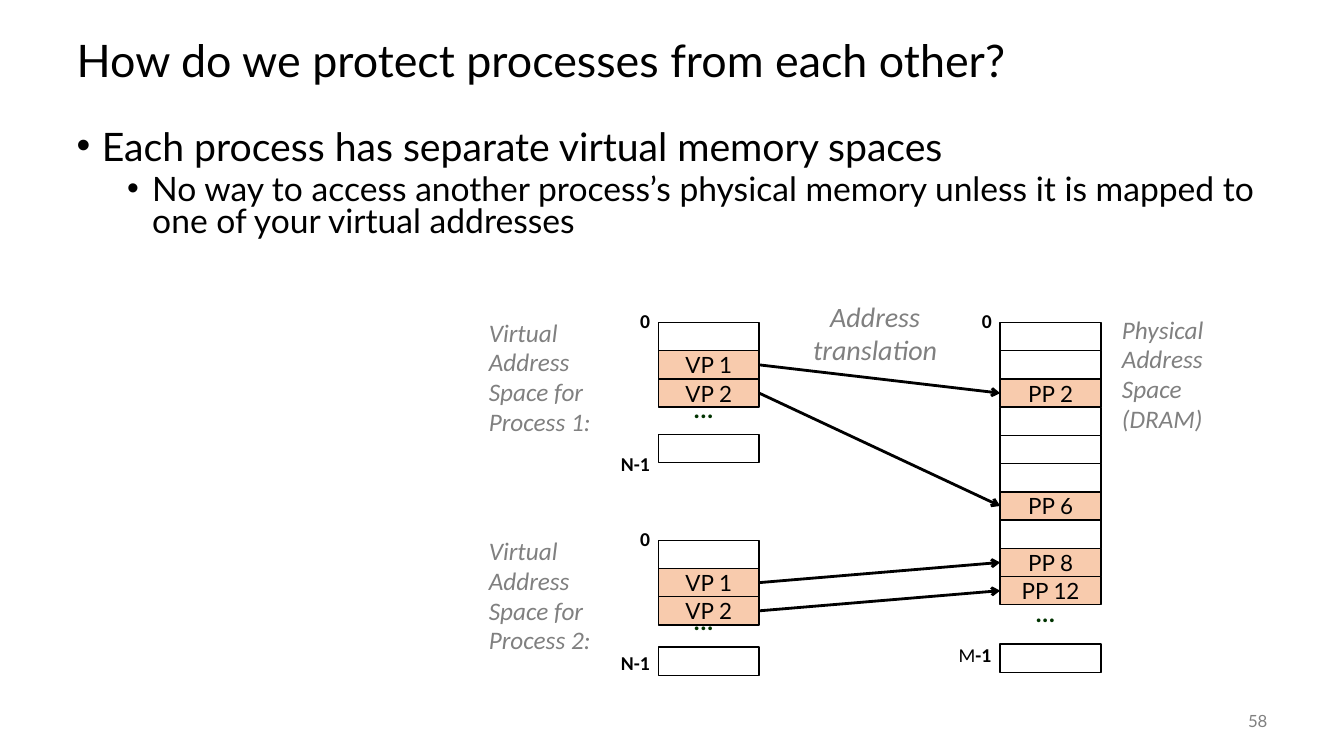
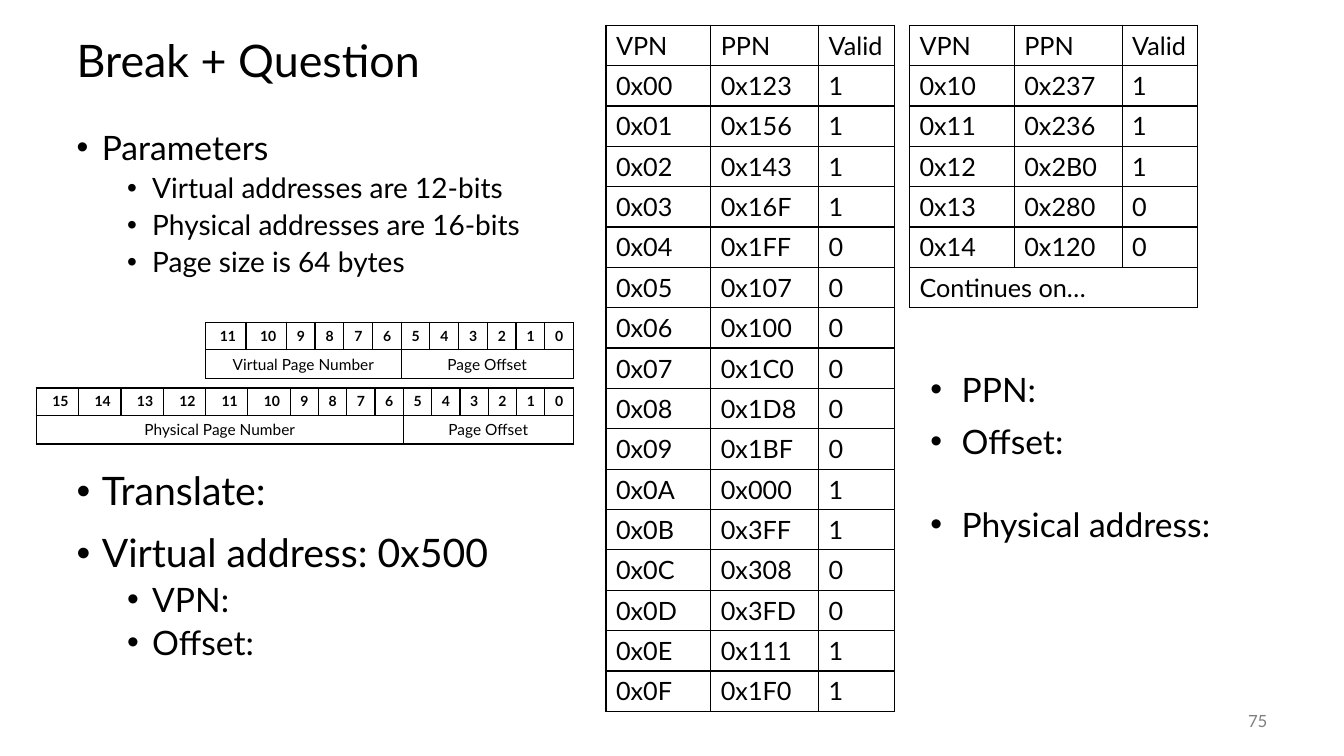
"""Build two slides on virtual memory: process isolation and an address translation exercise."""
from pptx import Presentation
from pptx.dml.color import RGBColor
from pptx.enum.shapes import MSO_CONNECTOR, MSO_SHAPE
from pptx.enum.text import MSO_ANCHOR, MSO_AUTO_SIZE, PP_ALIGN
from pptx.oxml.ns import qn
from pptx.util import Inches, Pt
from lxml.etree import SubElement

BLACK = RGBColor(0x00, 0x00, 0x00)
GRAY = RGBColor(0x80, 0x80, 0x80)
GREEN = RGBColor(0x00, 0x33, 0x00)
PEACH = RGBColor(0xF8, 0xCB, 0xAD)
CELL_HEIGHT = 0.28
CELL_WIDTH = 1


def write(frame, text, size=18, font="Lato", color=BLACK, bold=False, italic=False,
          align=PP_ALIGN.LEFT, line=1.0, before=0, level=0, indent=None, join=False):
    """Add a formatted paragraph, or a run on the last paragraph when join is set."""
    paragraph = frame.paragraphs[-1]
    if paragraph.runs and not join:
        paragraph = frame.add_paragraph()
    paragraph.level = level
    paragraph.alignment = align
    paragraph.line_spacing = line
    paragraph.space_before = Pt(before)
    if indent:
        left, hanging = indent
        properties = paragraph._p.get_or_add_pPr()
        properties.set("marL", str(Inches(left)))
        properties.set("indent", str(Inches(-hanging)))
        SubElement(properties, qn("a:buFont")).set("typeface", "Arial")
        SubElement(properties, qn("a:buChar")).set("char", "•")
    run = paragraph.add_run()
    run.text = text
    run.font.size = Pt(size)
    run.font.name = font
    run.font.color.rgb = color
    run.font.bold = bold
    run.font.italic = italic


def add_box(slide, left, top, width, height, wrap=False):
    """Add an empty text box and return its text frame."""
    box = slide.shapes.add_textbox(Inches(left), Inches(top), Inches(width), Inches(height))
    box.text_frame.word_wrap = wrap
    box.text_frame.auto_size = MSO_AUTO_SIZE.SHAPE_TO_FIT_TEXT
    return box.text_frame


presentation = Presentation()
presentation.slide_width = Inches(13.33)
presentation.slide_height = Inches(7.5)

contents = [
    ("How do we protect processes from each other?", "58", 1.28, 0.8, [
        ("Each process has separate virtual memory spaces", 0, 28, 0),
        ("No way to access another process’s physical memory unless it is mapped to "
         "one of your virtual addresses", 1, 24, 5),
    ]),
    ("Break + Question", "75", 5.5, 0.9, [
        ("Parameters", 0, 24, 0),
        ("Virtual addresses are 12-bits", 1, 20, 5),
        ("Physical addresses are 16-bits", 1, 20, 5),
        ("Page size is 64 bytes", 1, 20, 5),
        ("Translate:", 0, 28, 137.7),
        ("Virtual address: 0x500", 0, 28, 14),
        ("VPN:", 1, 24, 5),
        ("Offset:", 1, 24, 5),
    ]),
]
for title_text, number, body_height, spacing, items in contents:
    slide = presentation.slides.add_slide(presentation.slide_layouts[1])
    title, body = slide.placeholders
    for placeholder, top, height in [(title, 0.25, 0.75), (body, 1.25, body_height)]:
        placeholder.left, placeholder.top = Inches(0.66), Inches(top)
        placeholder.width, placeholder.height = Inches(12), Inches(height)
        placeholder.text_frame.auto_size = MSO_AUTO_SIZE.NONE
    title.text_frame.vertical_anchor = MSO_ANCHOR.MIDDLE
    write(title.text_frame, title_text, size=32, line=0.9)
    for text, level, size, before in items:
        write(body.text_frame, text, size=size, level=level, line=spacing, before=before,
              indent=(0.25 + 0.5 * level, 0.25))
    number_frame = add_box(slide, 11.67, 6.95, 1, 0.4, wrap=True)
    number_frame.auto_size = MSO_AUTO_SIZE.NONE
    number_frame.vertical_anchor = MSO_ANCHOR.MIDDLE
    write(number_frame, number, size=12, color=GRAY, align=PP_ALIGN.RIGHT)

protection_slide, question_slide = presentation.slides

VIRTUAL_LEFT, PHYSICAL_LEFT, PHYSICAL_TOP = 6.53, 9.92, 3.2
virtual_pages = ["", "VP 1", "VP 2"]
physical_pages = ["", "", "PP 2", "", "", "", "PP 6", "", "PP 8", "PP 12"]
virtual_end = [("N-1", True)]
physical_end = [("M", False), ("-1", True)]
address_spaces = [
    (VIRTUAL_LEFT, 3.2, virtual_pages, 3.89, 4.31, virtual_end, 4.45, 0.49),
    (VIRTUAL_LEFT, 5.36, virtual_pages, 6, 6.42, virtual_end, 6.42, 0.49),
    (PHYSICAL_LEFT, PHYSICAL_TOP, physical_pages, 5.92, 6.39, physical_end, 6.34, 0.53),
]
for left, top, pages, dots_top, last_top, end_runs, end_top, end_width in address_spaces:
    cells = [(page, top + row * CELL_HEIGHT) for row, page in enumerate(pages)]
    for page, cell_top in cells + [("", last_top)]:
        cell = protection_slide.shapes.add_shape(
            MSO_SHAPE.RECTANGLE, Inches(left), Inches(cell_top),
            Inches(CELL_WIDTH), Inches(CELL_HEIGHT))
        cell.shadow.inherit = False
        cell.line.color.rgb = BLACK
        cell.line.width = Pt(1)
        if page:
            cell.fill.solid()
            cell.fill.fore_color.rgb = PEACH
            cell.text_frame.vertical_anchor = MSO_ANCHOR.MIDDLE
            write(cell.text_frame, page, size=16, align=PP_ALIGN.CENTER)
        else:
            cell.fill.background()
    write(add_box(protection_slide, left + 0.25, dots_top, 0.4, 0.36), "...",
          font="Calibri", color=GREEN, bold=True, line=0.88)
    write(add_box(protection_slide, left - 0.28, top - 0.17, 0.31, 0.33), "0",
          size=14, font="Calibri", bold=True, line=0.98)
    end_frame = add_box(protection_slide, left + 0.02 - end_width, end_top, end_width, 0.33)
    for text, bold in end_runs:
        write(end_frame, text, size=14, font="Calibri", bold=bold, line=0.98, join=True)

mappings = [(3.2, 1, 2), (3.2, 2, 6), (5.36, 1, 8), (5.36, 2, 9)]
for top, virtual_row, physical_row in mappings:
    arrow = protection_slide.shapes.add_connector(
        MSO_CONNECTOR.STRAIGHT,
        Inches(VIRTUAL_LEFT + CELL_WIDTH), Inches(top + (virtual_row + 0.5) * CELL_HEIGHT),
        Inches(PHYSICAL_LEFT), Inches(PHYSICAL_TOP + (physical_row + 0.5) * CELL_HEIGHT))
    arrow.line.color.rgb = BLACK
    arrow.line.width = Pt(2)
    SubElement(arrow.line._get_or_add_ln(), qn("a:tailEnd")).set("type", "arrow")
    SubElement(arrow._element.spPr, qn("a:effectLst"))

captions = [
    (4.75, 3.11, 1.5, 1.28, ["Virtual Address Space for Process 1:"]),
    (4.75, 5.28, 1.5, 1.28, ["Virtual Address Space for Process 2:"]),
    (11.03, 3.08, 1.17, 1.29, ["Physical", "Address", "Space (DRAM)"]),
]
for left, top, width, height, lines in captions:
    caption_frame = add_box(protection_slide, left, top, width, height, wrap=True)
    for text in lines:
        write(caption_frame, text, font="Calibri", color=GRAY, italic=True, line=0.98)
translation_frame = add_box(protection_slide, 7.94, 2.92, 1.48, 0.77)
for text in ["Address", "translation"]:
    write(translation_frame, text, size=20, font="Calibri", color=GRAY, italic=True,
          align=PP_ALIGN.CENTER)

page_frames = ["123", "156", "143", "16F", "1FF", "107", "100", "1C0", "1D8", "1BF", "000",
               "3FF", "308", "3FD", "111", "1F0", "237", "236", "2B0", "280", "120"]
valid_bits = "111100000011001111100"
header = ["VPN", "PPN", "Valid"]
entries = [[f"0x{index:02X}", f"0x{page_frame}", valid]
           for index, (page_frame, valid) in enumerate(zip(page_frames, valid_bits))]

tables = []
for left, top, rows in [
    (6.01, 0.25, [header] + entries[:16]),
    (9.02, 0.25, [header] + entries[16:] + [["Continues on…", None, None]]),
]:
    tables.append((left, top, [1.04, 1.07, 0.75], [0.4] * len(rows), rows, [{}] * len(rows)))

OFFSET_BITS = 6
bit_formats = [dict(size=10, bold=True, align=PP_ALIGN.RIGHT),
               dict(size=11, align=PP_ALIGN.CENTER)]
for left, top, total_width, wide, bits, name in [
    (2.04, 3.2, 3.65, 0.4, 12, "Virtual Page Number"),
    (0.36, 3.85, 5.33, 0.42, 16, "Physical Page Number"),
]:
    wide_count = bits - 10
    narrow = (total_width - wide_count * wide) / 10
    bit_numbers = [str(bit) for bit in reversed(range(bits))]
    fields = [name] + [None] * (bits - OFFSET_BITS - 1)
    fields += ["Page Offset"] + [None] * (OFFSET_BITS - 1)
    tables.append((left, top, [wide] * wide_count + [narrow] * 10, [0.27, 0.28],
                   [bit_numbers, fields], bit_formats))

for left, top, widths, heights, rows, formats in tables:
    table = question_slide.shapes.add_table(
        len(rows), len(widths), Inches(left), Inches(top),
        Inches(sum(widths)), Inches(sum(heights))).table
    table.first_row = False
    table.horz_banding = False
    for column, width in zip(table.columns, widths):
        column.width = Inches(width)
    for row_index, (values, row_format) in enumerate(zip(rows, formats)):
        table.rows[row_index].height = Inches(heights[row_index])
        for column_index, value in enumerate(values):
            cell = table.cell(row_index, column_index)
            if row_format.get("align") == PP_ALIGN.RIGHT:
                cell.margin_left = 0
            properties = cell._tc.get_or_add_tcPr()
            for side in ["a:lnL", "a:lnR", "a:lnT", "a:lnB"]:
                border = SubElement(properties, qn(side))
                border.set("w", str(Pt(1)))
                border_fill = SubElement(border, qn("a:solidFill"))
                SubElement(border_fill, qn("a:srgbClr")).set("val", str(BLACK))
            cell.fill.background()
            if value is None:
                continue
            write(cell.text_frame, value, **row_format)
            last = column_index
            while last + 1 < len(values) and values[last + 1] is None:
                last += 1
            if last > column_index:
                cell.merge(table.cell(row_index, last))

answer_frame = add_box(question_slide, 9.13, 3.61, 3.81, 1.85, wrap=True)
for text, before in [("PPN:", 0), ("Offset:", 8.5), ("Physical address:", 30.5)]:
    write(answer_frame, text, size=24, before=before, indent=(0.31, 0.31))

presentation.save("out.pptx")
